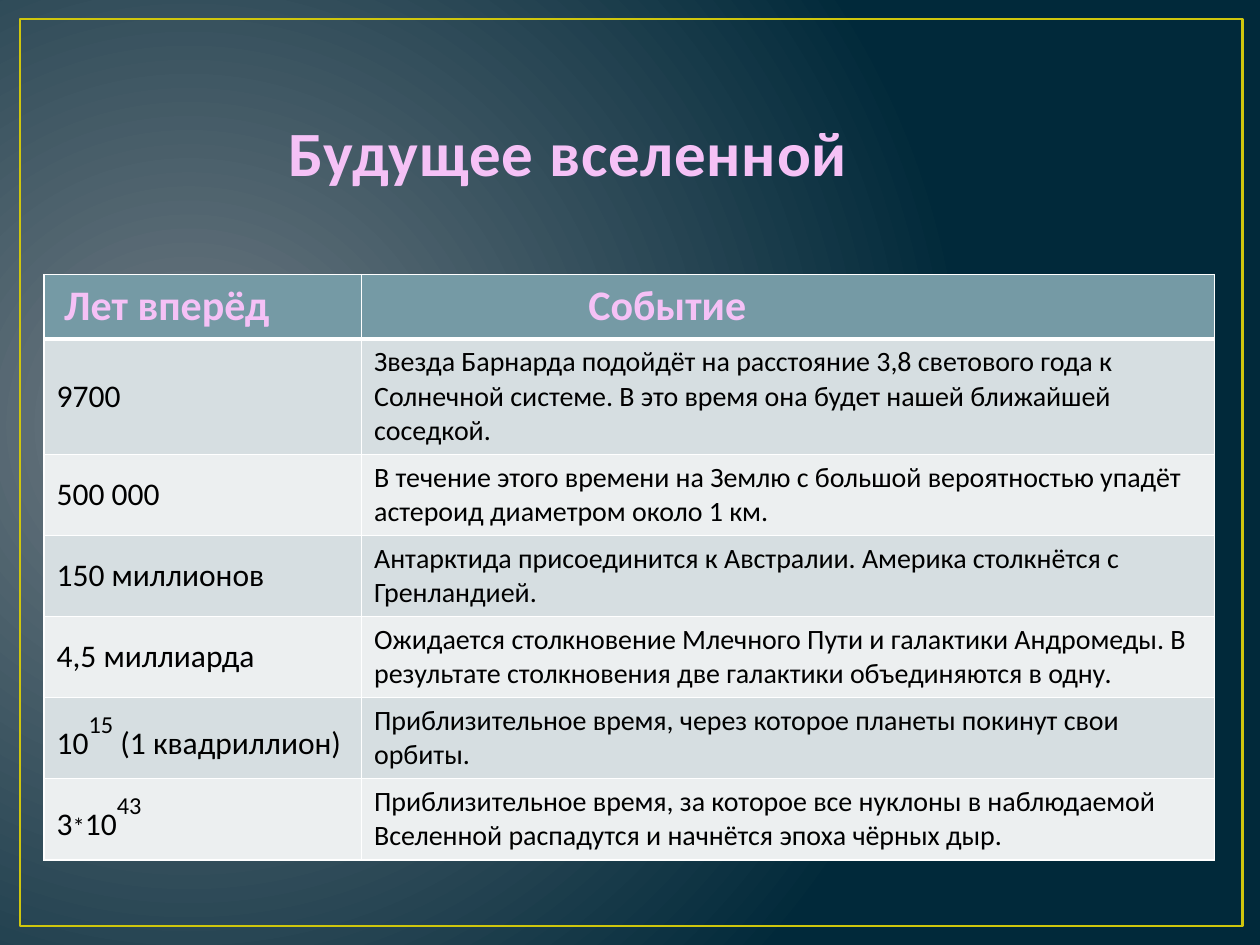
from lxml.etree import SubElement
from pptx import Presentation
from pptx.dml.color import RGBColor
from pptx.enum.shapes import MSO_SHAPE as Shape
from pptx.enum.text import MSO_ANCHOR as Anchor, PP_ALIGN as Align
from pptx.oxml import parse_xml
from pptx.oxml.ns import nsdecls, qn
from pptx.util import Inches, Pt

WIDTH, HEIGHT = 10, 7.5
GLOW = RGBColor(0x71, 0x7C, 0x84)
NIGHT = RGBColor(0x01, 0x29, 0x3A)
GOLD = RGBColor(0xCF, 0xC6, 0x0D)
PINK = RGBColor(0xF5, 0xC1, 0xF6)
WHITE = RGBColor(0xFF, 0xFF, 0xFF)
BLACK = RGBColor(0, 0, 0)
HEADER_FILL = RGBColor(0x75, 0x9A, 0xA5)
BAND_FILLS = (RGBColor(0xD6, 0xDE, 0xE1), RGBColor(0xEC, 0xEF, 0xF0))

COLUMNS = (2.52, 6.77)
ROWS = (0.51, 0.91, *[0.64] * 5)
HEADER = (("Лет вперёд", 0.16), ("Событие", 1.8))
EVENTS = (
    ([("9700", 18, 0)],
     "Звезда Барнарда подойдёт на расстояние 3,8 светового года к Солнечной "
     "системе. В это время она будет нашей ближайшей соседкой."),
    ([("500 000", 18, 0)],
     "В течение этого времени на Землю с большой вероятностью упадёт астероид "
     "диаметром около 1 км."),
    ([("150 миллионов", 18, 0)],
     "Антарктида присоединится к Австралии. Америка столкнётся с Гренландией."),
    ([("4,5 миллиарда", 18, 0)],
     "Ожидается столкновение Млечного Пути и галактики Андромеды. В результате "
     "столкновения две галактики объединяются в одну."),
    ([("10", 18, 0), ("15", 24, 50), (" (1 квадриллион)", 18, 0)],
     "Приблизительное время, через которое планеты покинут свои орбиты."),
    ([("3", 18, 0), ("*", 14, 0), ("10", 18, 0), ("43", 24, 50)],
     "Приблизительное время, за которое все нуклоны в наблюдаемой Вселенной "
     "распадутся и начнётся эпоха чёрных дыр."),
)


def paint_background(slide):
    slide.background.fill.solid()
    backdrop = slide.background.fill
    backdrop.fore_color.rgb = NIGHT
    properties = slide.element.find(".//" + qn("p:bgPr"))
    gradient = parse_xml(
        f'<a:gradFill {nsdecls("a")} rotWithShape="1"><a:gsLst>'
        f'<a:gs pos="0"><a:srgbClr val="{GLOW}"/></a:gs>'
        f'<a:gs pos="100000"><a:srgbClr val="{NIGHT}"/></a:gs></a:gsLst>'
        '<a:path path="circle"><a:fillToRect l="15000" t="50000" r="85000" b="60000"/>'
        '</a:path></a:gradFill>')
    properties.replace(properties.find(qn("a:solidFill")), gradient)


def add_frame(slide):
    frame = slide.shapes.add_shape(
        Shape.RECTANGLE, Inches(0.16), Inches(0.15), Inches(9.7), Inches(7.2))
    frame.shadow.inherit = False
    frame.fill.background()
    frame.line.color.rgb = GOLD
    frame.line.width = Pt(1.5)


def add_run(paragraph, text, size, color, bold=False, raised=0):
    run = paragraph.add_run()
    run.text = text
    styles = {"name": "Calibri", "size": Pt(size), "bold": bold}
    for key, value in styles.items():
        setattr(run.font, key, value)
    run.font.color.rgb = color
    if raised:
        run.font._element.set("baseline", str(raised * 1000))
    return run


def place_title(slide):
    title = slide.shapes.title
    box = {"left": 0.5, "top": 0.3, "width": 9, "height": 1.25}
    for key, value in box.items():
        setattr(title, key, Inches(value))
    frame = title.text_frame
    layout = {"word_wrap": True, "vertical_anchor": Anchor.BOTTOM,
              "margin_left": Inches(1.79)}
    for key, value in layout.items():
        setattr(frame, key, value)
    heading = frame.paragraphs[0]
    heading.alignment = Align.LEFT
    run = add_run(heading, "Будущее вселенной", 36, PINK, bold=True)
    run._r.get_or_add_rPr().set("spc", "50")


def set_borders(cell, top=1, bottom=1):
    properties = cell._tc.get_or_add_tcPr()
    for side, width in {"L": 1, "R": 1, "T": top, "B": bottom}.items():
        line = SubElement(properties, qn(f"a:ln{side}"), w=str(Pt(width)))
        fill = SubElement(line, qn("a:solidFill"))
        SubElement(fill, qn("a:srgbClr"), val=str(WHITE))


def format_cell(cell, fill, top=1, bottom=1):
    set_borders(cell, top, bottom)
    cell.fill.solid()
    cell.fill.fore_color.rgb = fill


def add_timeline(slide):
    timeline = slide.shapes.add_table(
        len(ROWS), len(COLUMNS), Inches(0.35), Inches(2.18),
        Inches(sum(COLUMNS)), Inches(sum(ROWS))).table
    for column, width in zip(timeline.columns, COLUMNS):
        column.width = Inches(width)
    for row, height in zip(timeline.rows, ROWS):
        row.height = Inches(height)

    for index, (label, margin) in enumerate(HEADER):
        cell = timeline.cell(0, index)
        format_cell(cell, HEADER_FILL, bottom=3)
        cell.margin_left = Inches(margin)
        add_run(cell.text_frame.paragraphs[0], label, 24, PINK, bold=True)

    for index, (years, event) in enumerate(EVENTS, start=1):
        contents = (years, [(event, 16, 0)])
        for column, pieces in enumerate(contents):
            cell = timeline.cell(index, column)
            format_cell(cell, BAND_FILLS[(index - 1) % 2], top=3 if index == 1 else 1)
            for text, size, raised in pieces:
                add_run(cell.text_frame.paragraphs[0], text, size, BLACK, raised=raised)
        timeline.cell(index, 0).vertical_anchor = Anchor.MIDDLE


def main():
    deck = Presentation()
    deck.slide_width, deck.slide_height = Inches(WIDTH), Inches(HEIGHT)
    slide = deck.slides.add_slide(deck.slide_layouts[5])
    paint_background(slide)
    add_frame(slide)
    place_title(slide)
    add_timeline(slide)
    deck.save("out.pptx")


if __name__ == "__main__":
    main()
